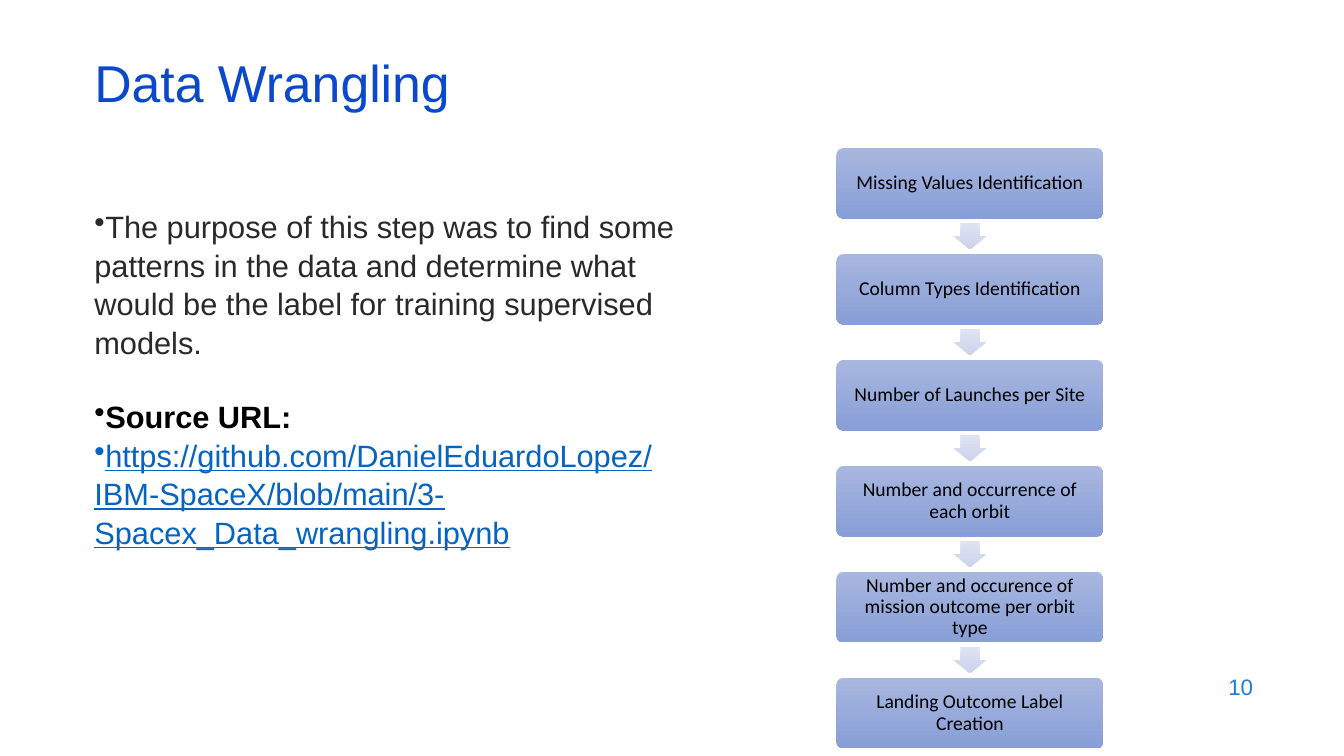
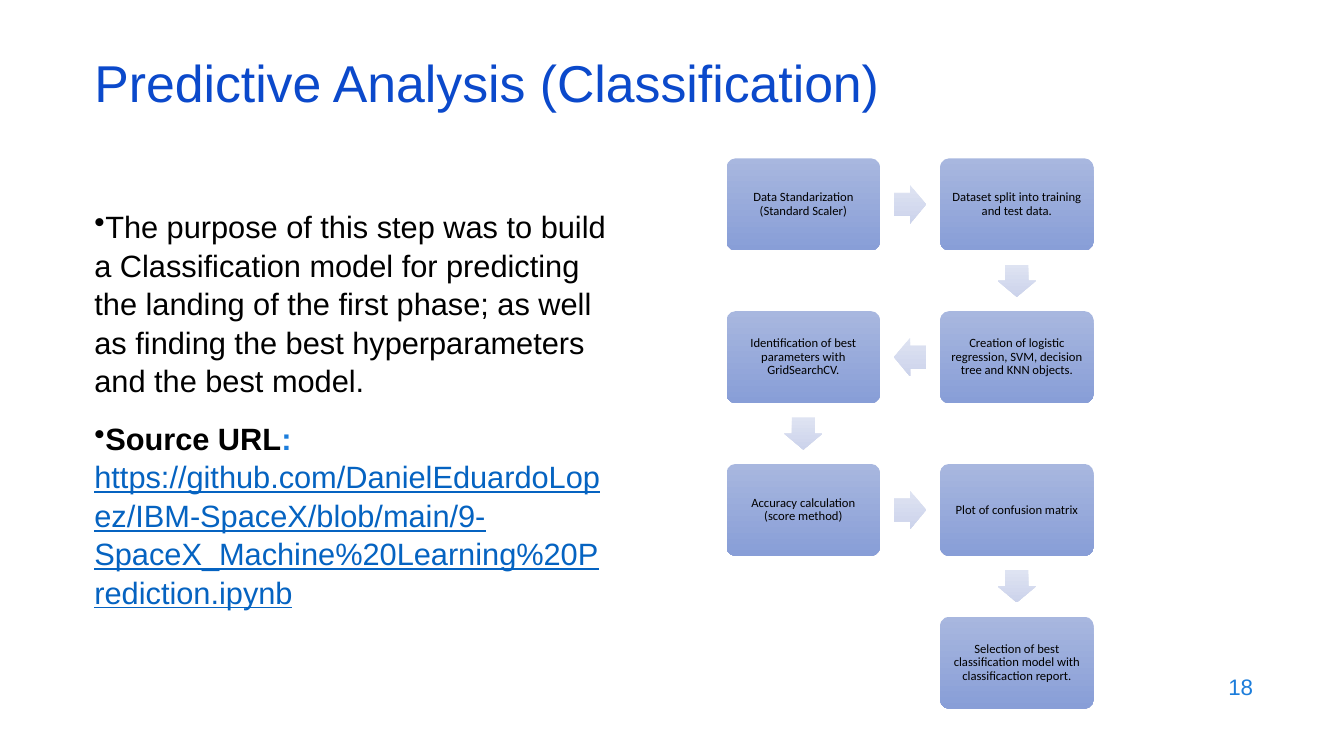
from dataclasses import dataclass

from lxml.etree import SubElement
from pptx import Presentation
from pptx.dml.color import RGBColor as Rgb
from pptx.enum.shapes import MSO_SHAPE as Shape
from pptx.enum.text import MSO_ANCHOR as Anchor, PP_ALIGN as Align
from pptx.oxml.ns import qn
from pptx.util import Cm, Pt


@dataclass(frozen=True)
class Theme:
    title: str = "0B49CB"
    number: str = "1C7DDB"
    text: str = "292929"
    black: str = "000000"
    link: str = "0563C1"
    box: tuple = ("A8B7DF", "889ED7")
    arrow: tuple = ("DEE3F2", "CCD3EB")
    font: str = "Arial"
    flow_font: str = "Calibri"
    title_size: int = 37
    body_size: int = 22
    number_size: int = 16


@dataclass(frozen=True)
class Flow:
    left: float
    top: float
    width: float
    height: float
    step_x: float
    step_y: float
    columns: int
    arrow_length: float
    arrow_breadth: float
    inset: float
    size: int

    def corner(self, index):
        row, column = divmod(index, self.columns)
        if row % 2:
            column = self.columns - 1 - column
        return self.left + column * self.step_x, self.top + row * self.step_y


THEME = Theme()
WRANGLING = Flow(21.08, 3.73, 6.73, 1.78, 0, 2.67, 1, 0.66, 0.81, 0.2, 14)
PREDICTION = Flow(18.31, 3.99, 3.87, 2.32, 5.38, 3.85, 2, 0.81, 0.97, 0.17, 9)


def assign(target, **values):
    for name, value in values.items():
        setattr(target, name, value)


def add_span(para, text, size, color, font=THEME.font, **values):
    span = para.add_run()
    span.text = text
    assign(span.font, name=font, size=Pt(size), **values)
    span.font.color.rgb = Rgb.from_string(color)


def add_text_box(page, left, top, width, height, anchor=Anchor.TOP):
    box = page.shapes.add_textbox(Cm(left), Cm(top), Cm(width), Cm(height))
    assign(box.text_frame, word_wrap=True, vertical_anchor=anchor)
    return box.text_frame


def add_title(page, text):
    para = add_text_box(page, 2.13, 1.5, 29.21, 1.52, Anchor.MIDDLE).paragraphs[0]
    para.line_spacing = 0.7
    add_span(para, text, THEME.title_size, THEME.title)


def add_page_number(page, number):
    para = add_text_box(page, 24.21, 16.74, 7.62, 1.12, Anchor.MIDDLE).paragraphs[0]
    para.alignment = Align.RIGHT
    add_span(para, str(number), THEME.number_size, THEME.number)


def add_body(page, width, bullets):
    frame = add_text_box(page, 2.13, 5.08, width, 12.17)
    for index, (space, spans) in enumerate(bullets):
        para = frame.add_paragraph() if index else frame.paragraphs[0]
        SubElement(para._p.get_or_add_pPr(), qn("a:buChar"), char="•")
        assign(para, line_spacing=1.04, space_before=Pt(space))
        for text, color, values in spans:
            add_span(para, text, THEME.body_size, color, **values)


def add_gradient_shape(page, kind, center, size, colors, adjustments):
    (x, y), (width, height) = center, size
    shape = page.shapes.add_shape(
        kind, Cm(x - width / 2), Cm(y - height / 2), Cm(width), Cm(height))
    shape.shadow.inherit = False
    shape.line.fill.background()
    shape.fill.gradient()
    shape.fill.gradient_angle = 270
    for stop, color in zip(shape.fill.gradient_stops, colors):
        stop.color.rgb = Rgb.from_string(color)
    for index, value in enumerate(adjustments):
        shape.adjustments[index] = value
    return shape


def add_step(page, flow, center, text):
    box = add_gradient_shape(page, Shape.ROUNDED_RECTANGLE, center,
                             (flow.width, flow.height), THEME.box, [0.1])
    sides = ("margin_left", "margin_top", "margin_right", "margin_bottom")
    assign(box.text_frame, word_wrap=True, vertical_anchor=Anchor.MIDDLE,
           **dict.fromkeys(sides, Cm(flow.inset)))
    para = box.text_frame.paragraphs[0]
    assign(para, alignment=Align.CENTER, line_spacing=0.9)
    add_span(para, text, flow.size, THEME.black, THEME.flow_font)


def add_arrow(page, flow, start, end):
    size = flow.arrow_length, flow.arrow_breadth
    if start[1] != end[1]:
        kind, size = Shape.DOWN_ARROW, size[::-1]
    else:
        kind = Shape.RIGHT_ARROW if end[0] > start[0] else Shape.LEFT_ARROW
    middle = [(a + b) / 2 for a, b in zip(start, end)]
    add_gradient_shape(page, kind, middle, size, THEME.arrow, [0.6, 0.5])


def add_flow(page, flow, steps):
    corners = [flow.corner(index) for index in range(len(steps))]
    centers = [(x + flow.width / 2, y + flow.height / 2) for x, y in corners]
    for center, text in zip(centers, steps):
        add_step(page, flow, center, text)
    for start, end in zip(centers, centers[1:]):
        add_arrow(page, flow, start, end)


def add_page(deck, title, number, body_width, bullets, flow, steps):
    page = deck.slides.add_slide(deck.slide_layouts[6])
    add_page_number(page, number)
    add_body(page, body_width, bullets)
    add_title(page, title)
    add_flow(page, flow, steps)


def main():
    deck = Presentation()
    assign(deck, slide_width=Cm(33.87), slide_height=Cm(19.05))
    bold, link = {"bold": True}, {"underline": True}
    add_page(deck, "Data Wrangling", 10, 15.88, [
        (0, [("The purpose of this step was to find some patterns in the data and "
              "determine what would be the label for training supervised models.",
              THEME.text, {})]),
        (26, [("Source URL:", THEME.black, bold)]),
        (0, [("https://github.com/DanielEduardoLopez/IBM-SpaceX/blob/main/"
              "3-Spacex_Data_wrangling.ipynb", THEME.link, link)]),
    ], WRANGLING, [
        "Missing Values Identification",
        "Column Types Identification",
        "Number of Launches per Site",
        "Number and occurrence of each orbit",
        "Number and occurence of mission outcome per orbit type",
        "Landing Outcome Label Creation",
    ])
    add_page(deck, "Predictive Analysis (Classification)", 18, 13.46, [
        (0, [("The purpose of this step was to build a Classification model for "
              "predicting the landing of the first phase; as well as finding the "
              "best hyperparameters and the best model.", THEME.black, {})]),
        (14, [("Source URL", THEME.black, bold),
              (": ", THEME.number, bold),
              ("https://github.com/DanielEduardoLopez/IBM-SpaceX/blob/main/"
               "9-SpaceX_Machine%20Learning%20Prediction.ipynb", THEME.link, link)]),
    ], PREDICTION, [
        "Data Standarization (Standard Scaler)",
        "Dataset split into training and test data.",
        "Creation of logistic regression, SVM, decision tree and KNN objects.",
        "Identification of best parameters with GridSearchCV.",
        "Accuracy calculation (score method)",
        "Plot of confusion matrix",
        "Selection of best classification model with classificaction report.",
    ])
    deck.save("out.pptx")


if __name__ == "__main__":
    main()
